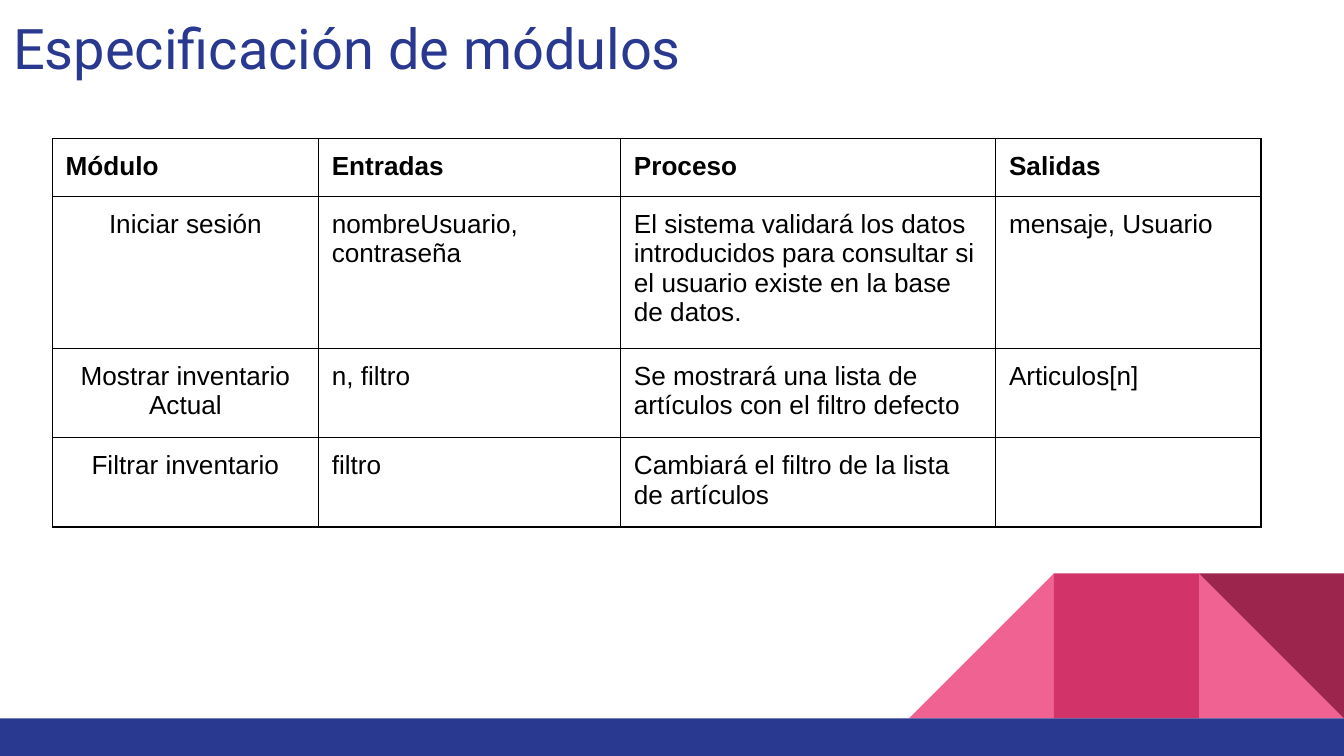
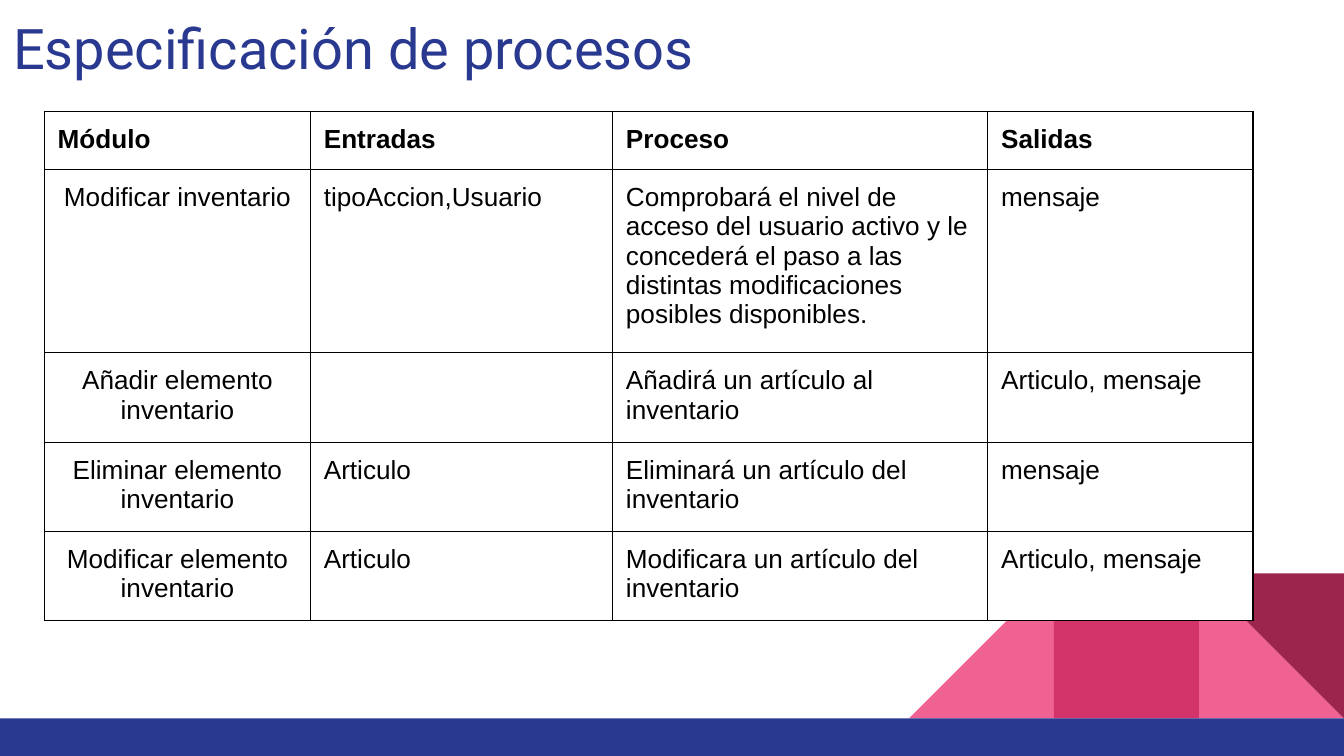
import pptx
import pptx.dml.color
import pptx.enum.shapes
import pptx.enum.text
import pptx.oxml.ns
import pptx.util
from lxml import etree

Cm = pptx.util.Cm
Shape = pptx.enum.shapes.MSO_SHAPE
Align = pptx.enum.text.PP_ALIGN

NAVY, PINK, ROSE, WINE = "2A3990", "F06292", "D23369", "9C254D"
WHITE, BLACK = "FFFFFF", "000000"
INSET = 0.25
SIDE = 2.74
BAND_TOP = 13.58
WIDTH, HEIGHT = 25.4, 14.29
ROW_HEIGHT = 1.06
COLUMN_WIDTHS = [5.03, 5.71, 7.09, 5.01]
HEADER = ["Módulo", "Entradas", "Proceso", "Salidas"]

TITLE_FORMAT = {"name": "Roboto", "size": pptx.util.Pt(30), "bold": False}
HEADER_FORMAT = {"name": "Arial", "size": pptx.util.Pt(14), "bold": True}
BODY_FORMAT = {**HEADER_FORMAT, "bold": False}
MARGINS = {
    f"margin_{side}": Cm(INSET) for side in ("left", "right", "top", "bottom")
}

ORNAMENTS = [
    (Shape.RIGHT_TRIANGLE, 1, PINK, False, 0),
    (Shape.RIGHT_TRIANGLE, 3, PINK, True, 0),
    (Shape.RECTANGLE, 2, ROSE, False, 0),
    (Shape.RIGHT_TRIANGLE, 1, WINE, False, 180),
]

PAGES = [
    ("Especificación de módulos", 0.99, 2.62, [
        ["Iniciar sesión", "nombreUsuario, contraseña",
         "El sistema validará los datos introducidos para consultar si "
         "el usuario existe en la base de datos.", "mensaje, Usuario"],
        ["Mostrar inventario Actual", "n, filtro",
         "Se mostrará una lista de artículos con el filtro defecto",
         "Articulos[n]"],
        ["Filtrar inventario", "filtro",
         "Cambiará el filtro de la lista de artículos", ""],
    ]),
    ("Especificación de procesos", 0.84, 2.11, [
        ["Modificar inventario", "tipoAccion,Usuario",
         "Comprobará el nivel de acceso del usuario activo y le concederá "
         "el paso a las distintas modificaciones posibles disponibles.",
         "mensaje"],
        ["Añadir elemento inventario", "",
         "Añadirá un artículo al inventario", "Articulo, mensaje"],
        ["Eliminar elemento inventario", "Articulo",
         "Eliminará un artículo del inventario", "mensaje"],
        ["Modificar elemento inventario", "Articulo",
         "Modificara un artículo del inventario", "Articulo, mensaje"],
    ]),
]


def paint(target, color):
    target.solid()
    target.fore_color.rgb = pptx.dml.color.RGBColor.from_string(color)


def write(para, text, font_format, color):
    span = para.add_run()
    span.text = text
    for name, value in font_format.items():
        setattr(span.font, name, value)
    paint(span.font.fill, color)


deck = pptx.Presentation()
deck.slide_width, deck.slide_height = Cm(WIDTH), Cm(HEIGHT)

for title, table_left, table_top, body in PAGES:
    page = deck.slides.add_slide(deck.slide_layouts[6])
    paint(page.background.fill, WHITE)

    for kind, steps, color, flipped, angle in ORNAMENTS:
        ornament = page.shapes.add_shape(
            kind, Cm(WIDTH - steps * SIDE), Cm(BAND_TOP - SIDE), Cm(SIDE), Cm(SIDE))
        ornament.shadow.inherit = False
        ornament.line.fill.background()
        ornament.rotation = angle
        paint(ornament.fill, color)
        if flipped:
            ornament._element.spPr.xfrm.set("flipH", "1")

    band = page.shapes.add_shape(
        Shape.RECTANGLE, 0, Cm(BAND_TOP), Cm(WIDTH), Cm(HEIGHT - BAND_TOP))
    band.shadow.inherit = False
    band.line.fill.background()
    paint(band.fill, NAVY)

    box = page.shapes.add_textbox(0, 0, Cm(23.67), Cm(1.68))
    box.text_frame.word_wrap = True
    for name, value in MARGINS.items():
        setattr(box.text_frame, name, value)
    write(box.text_frame.paragraphs[0], title, TITLE_FORMAT, NAVY)

    rows = [HEADER] + body
    table = page.shapes.add_table(
        len(rows), len(HEADER), Cm(table_left), Cm(table_top),
        Cm(sum(COLUMN_WIDTHS)), Cm(ROW_HEIGHT * len(rows))).table
    table.first_row = table.horz_banding = False
    for column, width in zip(table.columns, COLUMN_WIDTHS):
        column.width = Cm(width)

    for row_index, texts in enumerate(rows):
        table.rows[row_index].height = Cm(ROW_HEIGHT)
        for column_index, text in enumerate(texts):
            cell = table.cell(row_index, column_index)
            for name, value in MARGINS.items():
                setattr(cell, name, value)
            properties = cell._tc.get_or_add_tcPr()
            for edge in ("lnL", "lnR", "lnT", "lnB"):
                border = etree.SubElement(
                    properties, pptx.oxml.ns.qn(f"a:{edge}"), w="9525")
                fill = etree.SubElement(border, pptx.oxml.ns.qn("a:solidFill"))
                etree.SubElement(fill, pptx.oxml.ns.qn("a:srgbClr"), val=BLACK)
            paint(cell.fill, WHITE)
            para = cell.text_frame.paragraphs[0]
            if row_index and column_index == 0:
                para.alignment = Align.CENTER
            if text:
                write(para, text, BODY_FORMAT if row_index else HEADER_FORMAT, BLACK)

deck.save("out.pptx")
